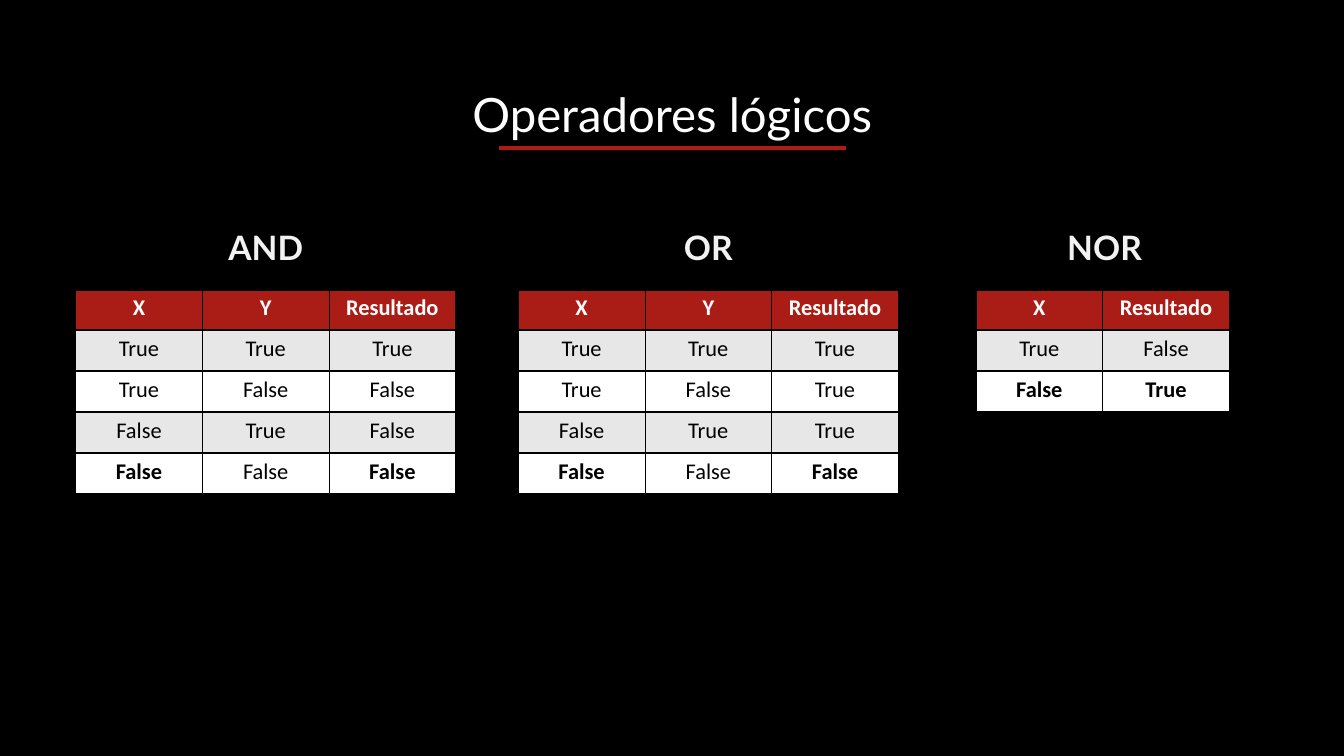
import pptx
import pptx.util
import pptx.dml.color
import pptx.enum.shapes
import pptx.enum.text
import pptx.oxml

Inches = pptx.util.Inches
Pt = pptx.util.Pt
RGBColor = pptx.dml.color.RGBColor
ANCHOR = pptx.enum.text.MSO_ANCHOR
AUTO_SIZE = pptx.enum.text.MSO_AUTO_SIZE
CENTER = pptx.enum.text.PP_ALIGN.CENTER

BLACK = RGBColor(0x00, 0x00, 0x00)
WHITE = RGBColor(0xFF, 0xFF, 0xFF)
RED = RGBColor(0xAA, 0x1D, 0x16)
GRAY = RGBColor(0xE7, 0xE7, 0xE7)
OFF_WHITE = RGBColor(0xF2, 0xF2, 0xF2)

COL_W, ROW_H = 1.257, 0.406
TABLE_TOP = 2.87
HEADING_TOP, HEADING_W, HEADING_H = 2.2, 2.49, 0.5
BORDERS = {"lnL": 0.5, "lnR": 0.5, "lnT": 1.98, "lnB": 1.98}

INPUTS = [("True", "True"), ("True", "False"), ("False", "True"), ("False", "False")]


def truth_table(results):
    return [("X", "Y", "Resultado")] + [
        (x, y, result) for (x, y), result in zip(INPUTS, results)
    ]


OPERATORS = [
    ("AND", 1.39, 0.75, truth_table(["True", "False", "False", "False"])),
    ("OR", 5.78, 5.14, truth_table(["True", "True", "True", "False"])),
    ("NOR", 9.71, 9.68, [("X", "Resultado"), ("True", "False"), ("False", "True")]),
]


def format_text(p, text, font, size, color, bold=False):
    p.text = text
    p.alignment = CENTER
    p.font.name = font
    p.font.size = Pt(size)
    p.font.bold = bold
    p.font.color.rgb = color


def add_title(s, text):
    sp = s.shapes.title
    sp.left, sp.top = Inches(3.24), Inches(0.82)
    sp.width, sp.height = Inches(6.86), Inches(0.68)
    tf = sp.text_frame
    tf.auto_size = AUTO_SIZE.NONE
    tf.vertical_anchor = ANCHOR.MIDDLE
    p = tf.paragraphs[0]
    format_text(p, text, "Lato", 33.8, WHITE)
    p.line_spacing = 0.9


def add_underline(s):
    sp = s.shapes.add_shape(
        pptx.enum.shapes.MSO_SHAPE.RECTANGLE,
        Inches(4.95), Inches(1.45), Inches(3.44), Inches(0.04),
    )
    sp.shadow.inherit = False
    sp.fill.solid()
    sp.fill.fore_color.rgb = RED
    sp.line.fill.background()


def add_heading(s, text, left):
    sp = s.shapes.add_textbox(
        Inches(left), Inches(HEADING_TOP), Inches(HEADING_W), Inches(HEADING_H)
    )
    tf = sp.text_frame
    tf.word_wrap = True
    tf.auto_size = AUTO_SIZE.SHAPE_TO_FIT_TEXT
    format_text(tf.paragraphs[0], text, "Lato", 24, OFF_WHITE, True)


def set_borders(cell):
    tc_pr = cell._tc.get_or_add_tcPr()
    for i, (side, width) in enumerate(BORDERS.items()):
        ln = pptx.oxml.parse_xml(
            f'<a:{side} xmlns:a="http://schemas.openxmlformats.org/drawingml/2006/main"'
            f' w="{int(Pt(width))}"><a:solidFill><a:srgbClr val="{BLACK}"/>'
            f"</a:solidFill></a:{side}>"
        )
        tc_pr.insert(i, ln)


def add_table(s, left, rows):
    n_rows, n_cols = len(rows), len(rows[0])
    table = s.shapes.add_table(
        n_rows, n_cols, Inches(left), Inches(TABLE_TOP),
        Inches(COL_W * n_cols), Inches(ROW_H * n_rows),
    ).table
    for i, row in enumerate(rows):
        header, last = i == 0, i == n_rows - 1
        fill = RED if header else GRAY if i % 2 else WHITE
        for j, text in enumerate(row):
            cell = table.cell(i, j)
            cell.fill.solid()
            cell.fill.fore_color.rgb = fill
            bold = header or (last and j in (0, n_cols - 1))
            color = WHITE if header else BLACK
            format_text(cell.text_frame.paragraphs[0], text, "Calibri", 16, color, bold)
            set_borders(cell)


def main():
    prs = pptx.Presentation()
    prs.slide_width, prs.slide_height = Inches(13.33), Inches(7.5)
    s = prs.slides.add_slide(prs.slide_layouts[5])
    s.background.fill.solid()
    s.background.fill.fore_color.rgb = BLACK
    add_title(s, "Operadores lógicos")
    add_underline(s)
    for name, heading_left, table_left, rows in OPERATORS:
        add_table(s, table_left, rows)
        add_heading(s, name, heading_left)
    prs.save("out.pptx")


if __name__ == "__main__":
    main()
